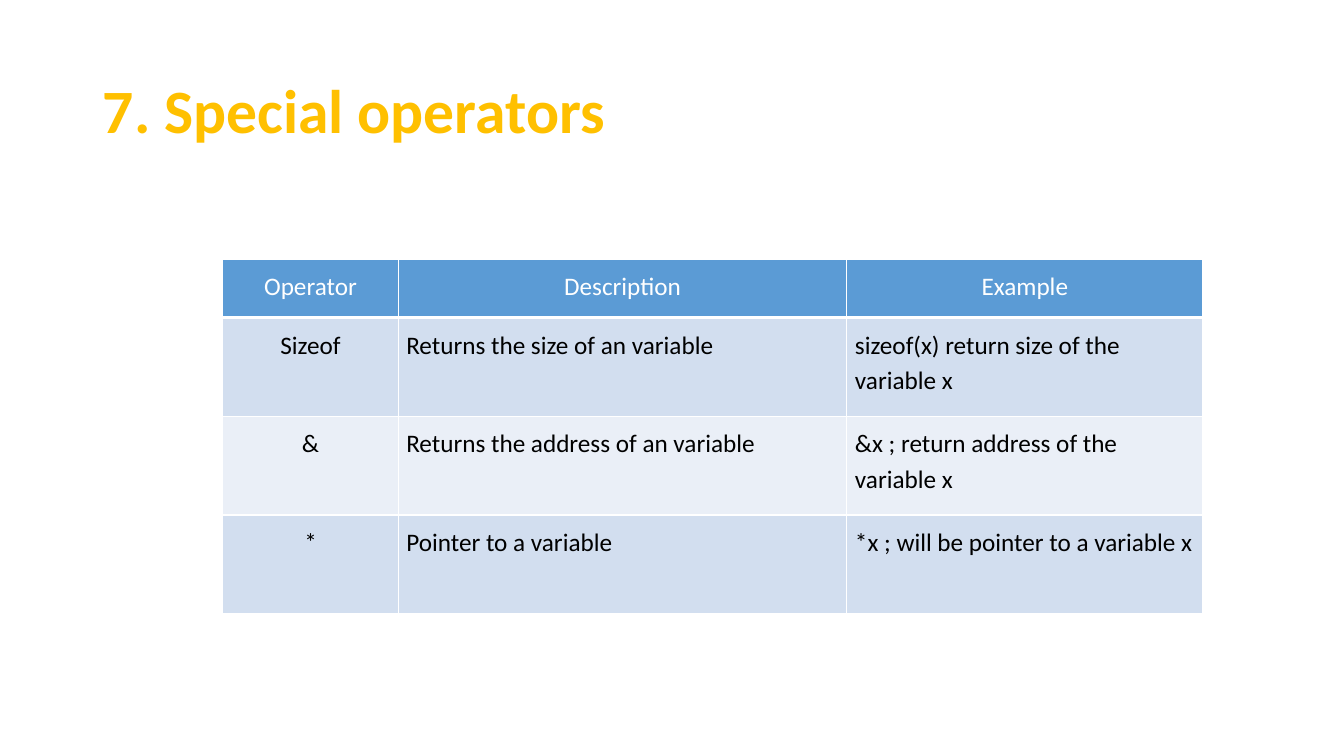
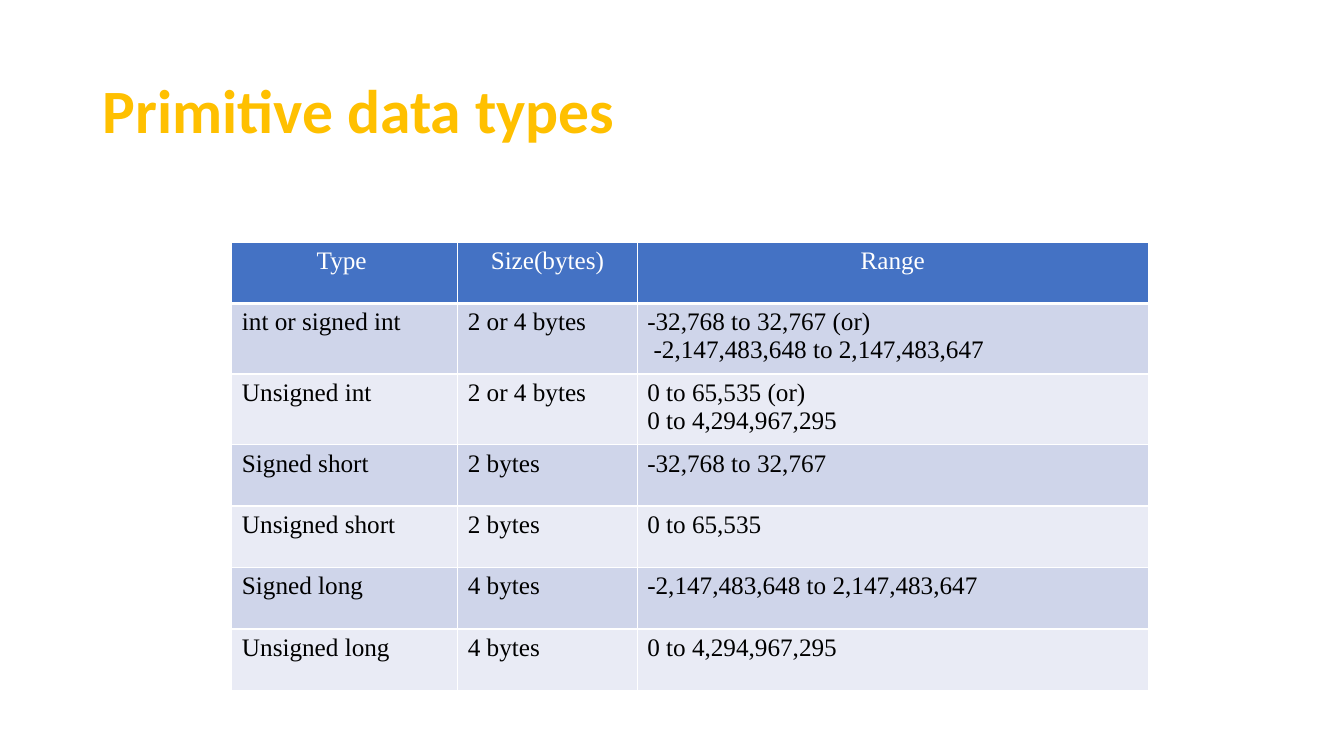
from dataclasses import dataclass

from lxml import etree
from pptx import Presentation
from pptx.dml.color import RGBColor
from pptx.enum.text import MSO_ANCHOR, MSO_AUTO_SIZE, PP_ALIGN
from pptx.oxml.ns import qn
from pptx.util import Inches, Pt

LEFT, CENTER = PP_ALIGN.LEFT, PP_ALIGN.CENTER
MIDDLE = MSO_ANCHOR.MIDDLE
NO_AUTOFIT = MSO_AUTO_SIZE.NONE

WHITE = RGBColor(0xFF, 0xFF, 0xFF)
BLACK = RGBColor(0x00, 0x00, 0x00)
GOLD = RGBColor(0xFF, 0xC0, 0x00)
SKY = RGBColor(0x5B, 0x9B, 0xD5)
SKY_BAND = RGBColor(0xD2, 0xDE, 0xEF)
SKY_PALE = RGBColor(0xEA, 0xEF, 0xF7)
ROYAL = RGBColor(0x44, 0x72, 0xC4)
ROYAL_BAND = RGBColor(0xCF, 0xD5, 0xEA)
ROYAL_PALE = RGBColor(0xE9, 0xEB, 0xF5)

TITLE_FONT = "Calibri"
TITLE_SIZE = Pt(44)
TABLE_SIZE = Pt(18)
TITLE_ONLY = 5
BORDER_WIDTH = Pt(1)
HEADER_RULE_WIDTH = Pt(3)

OPERATORS = [
    ["Operator", "Description", "Example"],
    ["Sizeof", "Returns the size of an variable",
     "sizeof(x)\u00a0return size of the variable\u00a0x"],
    ["&", "Returns the address of an variable",
     "&x ;\u00a0return address of the variable\u00a0x"],
    ["*", "Pointer to a variable",
     "*x ;\u00a0will be pointer to a variable\u00a0x"],
]
DATA_TYPES = [
    ["Type ", "Size(bytes)", "Range"],
    ["int or signed int", "2 or 4 bytes",
     "-32,768 to 32,767 (or)\n -2,147,483,648 to 2,147,483,647"],
    ["Unsigned int", "2 or 4 bytes", "0 to 65,535 (or)\n0 to 4,294,967,295"],
    ["Signed short", "2 bytes", "-32,768 to 32,767"],
    ["Unsigned short", "2 bytes", "0 to 65,535"],
    ["Signed long", "4 bytes", "-2,147,483,648 to 2,147,483,647"],
    ["Unsigned long", "4 bytes", "0 to 4,294,967,295"],
]


@dataclass
class TableStyle:
    """Look of one table: font, fills, cell margins and paragraph spacing."""
    font: str
    header_fill: RGBColor
    band_fills: tuple
    margin_x: float
    margin_y: float
    centered_columns: tuple = ()
    line_spacing: float = 1.0
    space_before: float = 0
    space_after: float = 0


OPERATOR_STYLE = TableStyle("Calibri", SKY, (SKY_BAND, SKY_PALE), 0.08, 0.08,
                            (0,), 1.15, 11.2, 15)
DATA_TYPE_STYLE = TableStyle("Times New Roman", ROYAL,
                             (ROYAL_BAND, ROYAL_PALE), 0.1, 0.05)


def add_run(paragraph, text, font, size, color, bold=False):
    """Add one formatted run to a paragraph."""
    run = paragraph.add_run()
    run.text = text
    run.font.name = font
    run.font.size = size
    run.font.bold = bold
    run.font.color.rgb = color


def add_titled_slide(presentation, title):
    """Add a title-only slide with the shared gold title."""
    slide = presentation.slides.add_slide(
        presentation.slide_layouts[TITLE_ONLY])
    shape = slide.shapes.title
    shape.left, shape.top = Inches(0.92), Inches(0.4)
    shape.width, shape.height = Inches(11.5), Inches(1.45)
    frame = shape.text_frame
    frame.auto_size = NO_AUTOFIT
    frame.word_wrap = True
    frame.vertical_anchor = MIDDLE
    paragraph = frame.paragraphs[0]
    paragraph.alignment = LEFT
    paragraph.line_spacing = 0.9
    add_run(paragraph, title, TITLE_FONT, TITLE_SIZE, GOLD, bold=True)
    return slide


def set_borders(cell, bottom_width):
    """Draw white borders around a cell; they must precede its fill."""
    properties = cell._tc.get_or_add_tcPr()
    widths = {"a:lnL": BORDER_WIDTH, "a:lnR": BORDER_WIDTH,
              "a:lnT": BORDER_WIDTH, "a:lnB": bottom_width}
    for position, (tag, width) in enumerate(widths.items()):
        line = etree.Element(qn(tag), w=str(width))
        fill = etree.SubElement(line, qn("a:solidFill"))
        etree.SubElement(fill, qn("a:srgbClr"), val=str(WHITE))
        properties.insert(position, line)


def fill_cell(cell, text, style, row, column):
    """Write and format one table cell; row 0 is the header."""
    is_header = row == 0
    cell.margin_left = cell.margin_right = Inches(style.margin_x)
    cell.margin_top = cell.margin_bottom = Inches(style.margin_y)
    cell.fill.solid()
    cell.fill.fore_color.rgb = (
        style.header_fill if is_header else style.band_fills[(row - 1) % 2])
    set_borders(cell, HEADER_RULE_WIDTH if is_header else BORDER_WIDTH)

    centered = is_header or column in style.centered_columns
    frame = cell.text_frame
    for index, line in enumerate(text.split("\n")):
        paragraph = frame.add_paragraph() if index else frame.paragraphs[0]
        paragraph.alignment = CENTER if centered else LEFT
        paragraph.line_spacing = style.line_spacing
        paragraph.space_before = Pt(style.space_before)
        paragraph.space_after = Pt(style.space_after)
        add_run(paragraph, line, style.font, TABLE_SIZE,
                WHITE if is_header else BLACK)


def add_banded_table(slide, left, top, widths, heights, rows, style):
    """Add a table with a coloured header and alternating row fills."""
    table = slide.shapes.add_table(
        len(heights), len(widths), Inches(left), Inches(top),
        Inches(sum(widths)), Inches(sum(heights))).table
    for column, width in zip(table.columns, widths):
        column.width = Inches(width)
    for table_row, height in zip(table.rows, heights):
        table_row.height = Inches(height)
    for row, texts in enumerate(rows):
        for column, text in enumerate(texts):
            fill_cell(table.cell(row, column), text, style, row, column)


def main():
    """Build and save the presentation."""
    presentation = Presentation()
    presentation.slide_width = Inches(13.33)
    presentation.slide_height = Inches(7.5)

    slide = add_titled_slide(presentation, "7. Special operators")
    add_banded_table(slide, 2.21, 2.57, [1.74, 4.45, 3.53],
                     [0.58] + [0.98] * 3, OPERATORS, OPERATOR_STYLE)

    slide = add_titled_slide(presentation, "Primitive data types")
    add_banded_table(slide, 2.3, 2.4, [2.24, 1.78, 5.07],
                     [0.61] + [0.7] * 2 + [0.61] * 4,
                     DATA_TYPES, DATA_TYPE_STYLE)

    presentation.save("out.pptx")


main()
